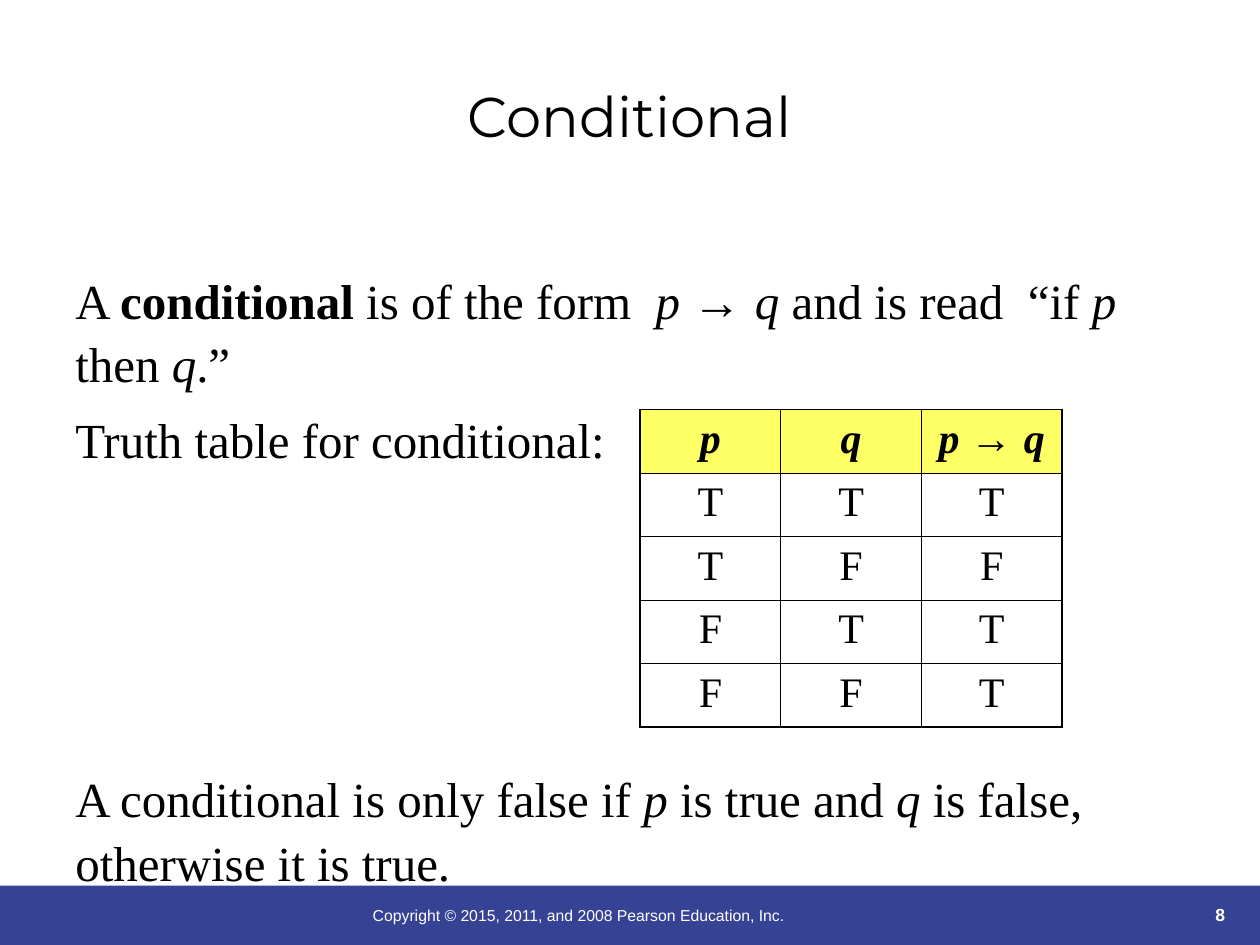
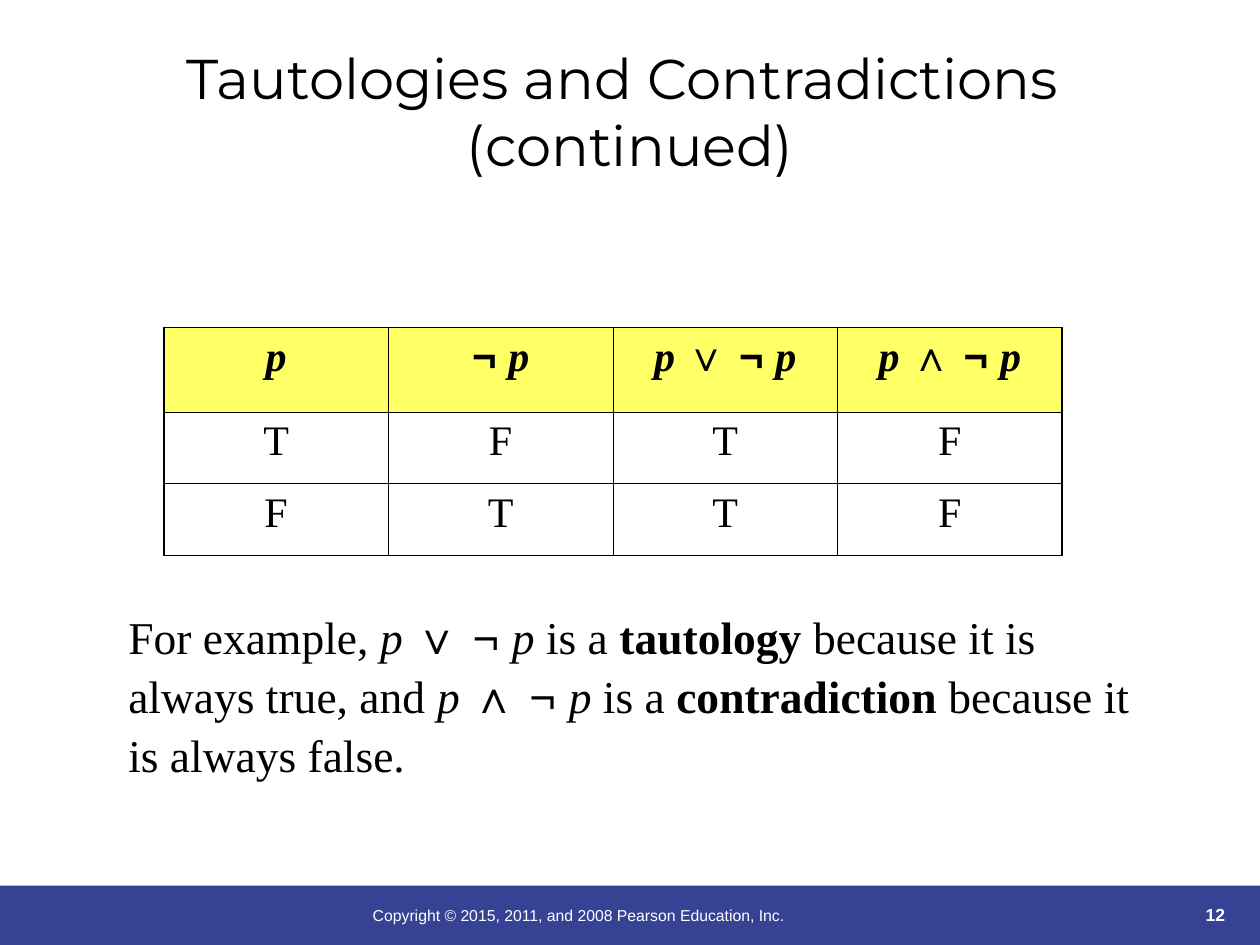
import dataclasses
import typing

import pptx
import pptx.dml.color
import pptx.enum.shapes
import pptx.enum.text
import pptx.oxml.ns
import pptx.util
from lxml import etree

Inches = pptx.util.Inches
Pt = pptx.util.Pt
Color = pptx.dml.color.RGBColor.from_string
Align = pptx.enum.text.PP_ALIGN
Anchor = pptx.enum.text.MSO_ANCHOR
Box = tuple[float, float, float, float]


@dataclasses.dataclass(frozen=True)
class Theme:
    ink: str = "000000"
    paper: str = "FFFFFF"
    band: str = "364395"
    head: str = "FFFF66"
    serif: str = "Times New Roman"
    sans: str = "Arial"
    display: str = "Montserrat"
    title: float = 32
    cell: float = 24
    page: float = 10
    legal: float = 9
    outer: float = 1.08
    inner: float = 0.45


THEME = Theme()


@dataclasses.dataclass(frozen=True)
class Bit:
    """A stretch of text inside a paragraph."""
    text: str
    bold: bool | None = None
    italic: bool | None = None
    font: str = THEME.serif


@dataclasses.dataclass(frozen=True)
class Para:
    bits: list[Bit]
    before: float = 0


@dataclasses.dataclass(frozen=True)
class Note:
    box: Box
    size: float
    paras: list[Para]


@dataclasses.dataclass(frozen=True)
class Grid:
    left: float
    top: float
    width: float
    rows: list[float]
    head: list[list[Bit]]
    body: list[str]  # one letter per cell


@dataclasses.dataclass(frozen=True)
class Page:
    number: int
    title: str
    box: Box
    note: Note
    grid: Grid


def var(text: str) -> Bit:
    return Bit(text, italic=True)


def sym(text: str) -> Bit:
    return Bit(text, font=THEME.sans)


def term(text: str) -> Bit:
    return Bit(text, bold=True)


# Formulas used in both headings and sentences
IF = [var("p "), sym("→ "), var("q")]
OR = [var("p "), sym("∨ ¬ "), var("p")]
AND = [var("p "), sym("∧ ¬ "), var("p")]

PAGES = [
    Page(
        8, "Conditional", (0.75, 0.5, 8.5, 0.83),
        Note((0.5, 2.06, 9, 5.02), 28, [
            Para([Bit("A "), term("conditional"), Bit(" is of the form  "), *IF,
                  Bit(" and is read  “if "), var("p"), Bit(" then "), var("q"),
                  Bit(".”")]),
            Para([Bit("Truth table for conditional:")], before=7),
            Para([Bit("A conditional is only false if "), var("p"),
                  Bit(" is true and "), var("q"),
                  Bit(" is false, otherwise it is true.")], before=169),
        ]),
        Grid(5.08, 3.25, 3.35, [0.504] * 5, [[var("p")], [var("q")], IF],
             ["TTT", "TFF", "FTT", "FFT"]),
    ),
    Page(
        12, "Tautologies and Contradictions \v(continued)", (0.75, 0.25, 8.5, 1.25),
        Note((0.92, 4.75, 8.42, 1.4), 26, [
            Para([Bit("For example, "), *OR, Bit(" is a "), term("tautology"),
                  Bit(" because it is always true, and "), *AND, Bit(" is a "),
                  term("contradiction"), Bit(" because it is always false.")]),
        ]),
        Grid(1.3, 2.6, 7.13, [0.67, 0.57, 0.57],
             [[var("p")], [sym("¬ "), var("p")], OR, AND], ["TFTF", "FTTF"]),
    ),
]


def style(para: typing.Any, size: float, font: str, color: str = THEME.ink,
          bold: bool = False) -> None:
    para.font.size = Pt(size)
    para.font.name = font
    para.font.color.rgb = Color(color)
    para.font.bold = bold


def write(para: typing.Any, bits: list[Bit]) -> None:
    for bit in bits:
        run = para.add_run()
        run.text = bit.text
        run.font.bold = bit.bold
        run.font.italic = bit.italic
        if bit.font != THEME.serif:
            run.font.name = bit.font


def frame(slide: typing.Any, box: Box, anchor: Anchor = Anchor.TOP) -> typing.Any:
    text = slide.shapes.add_textbox(*map(Inches, box)).text_frame
    text.word_wrap = True
    text.vertical_anchor = anchor
    return text


def label(slide: typing.Any, box: Box, text: str, size: float, font: str,
          color: str, align: Align, anchor: Anchor, bold: bool = False) -> None:
    para = frame(slide, box, anchor).paragraphs[0]
    para.text = text
    para.alignment = align
    style(para, size, font, color, bold)


def footer(slide: typing.Any, number: int) -> None:
    band = slide.shapes.add_shape(
        pptx.enum.shapes.MSO_SHAPE.RECTANGLE,
        *map(Inches, (0, 7.03, 10, 0.47)))
    band.shadow.inherit = False
    band.fill.solid()
    band.fill.fore_color.rgb = Color(THEME.band)
    band.line.fill.background()
    label(slide, (8.9, 6.89, 0.92, 0.5), str(number), THEME.page, THEME.sans,
          THEME.paper, Align.RIGHT, Anchor.BOTTOM, bold=True)
    label(slide, (2.86, 7.14, 4.92, 0.36),
          "Copyright © 2015, 2011, and 2008 Pearson Education, Inc.",
          THEME.legal, THEME.sans, THEME.paper, Align.LEFT, Anchor.TOP)


def prose(slide: typing.Any, note: Note) -> None:
    text = frame(slide, note.box)
    for i, item in enumerate(note.paras):
        para = text.add_paragraph() if i else text.paragraphs[0]
        para.line_spacing = 1.08
        if item.before:
            para.space_before = Pt(item.before)
        style(para, note.size, THEME.serif)
        write(para, item.bits)


def border(cell: typing.Any, edges: dict[str, bool]) -> None:
    """Rule each side of a cell, heavier on the table's rim."""
    qn = pptx.oxml.ns.qn
    props = cell._tc.get_or_add_tcPr()
    for side, rim in edges.items():
        width = Pt(THEME.outer if rim else THEME.inner)
        line = etree.SubElement(props, qn(f"a:ln{side}"), w=str(width))
        fill = etree.SubElement(line, qn("a:solidFill"))
        etree.SubElement(fill, qn("a:srgbClr"), val=THEME.ink)


def table(slide: typing.Any, grid: Grid) -> None:
    data = [grid.head] + [[[Bit(mark)] for mark in row] for row in grid.body]
    rows, cols = len(data), len(grid.head)
    tab = slide.shapes.add_table(
        rows, cols, *map(Inches, (grid.left, grid.top, grid.width,
                                  sum(grid.rows)))).table
    tab.horz_banding = tab.first_row = False
    for col in tab.columns:
        col.width = Inches(grid.width / cols)
    for r, (row, high) in enumerate(zip(data, grid.rows)):
        tab.rows[r].height = Inches(high)
        for c, bits in enumerate(row):
            cell = tab.cell(r, c)
            border(cell, {"L": c == 0, "R": c == cols - 1,
                          "T": r == 0, "B": r == rows - 1})
            if r == 0:
                cell.fill.solid()
                cell.fill.fore_color.rgb = Color(THEME.head)
            else:
                cell.fill.background()
            para = cell.text_frame.paragraphs[0]
            para.alignment = Align.CENTER
            style(para, THEME.cell, THEME.serif, bold=r == 0)
            write(para, bits)


def main() -> None:
    deck = pptx.Presentation()
    deck.slide_width, deck.slide_height = Inches(10), Inches(7.5)
    for page in PAGES:
        slide = deck.slides.add_slide(deck.slide_layouts[6])
        footer(slide, page.number)
        label(slide, page.box, page.title, THEME.title, THEME.display,
              THEME.ink, Align.CENTER, Anchor.MIDDLE)
        prose(slide, page.note)
        table(slide, page.grid)
    deck.save("out.pptx")


if __name__ == "__main__":
    main()
